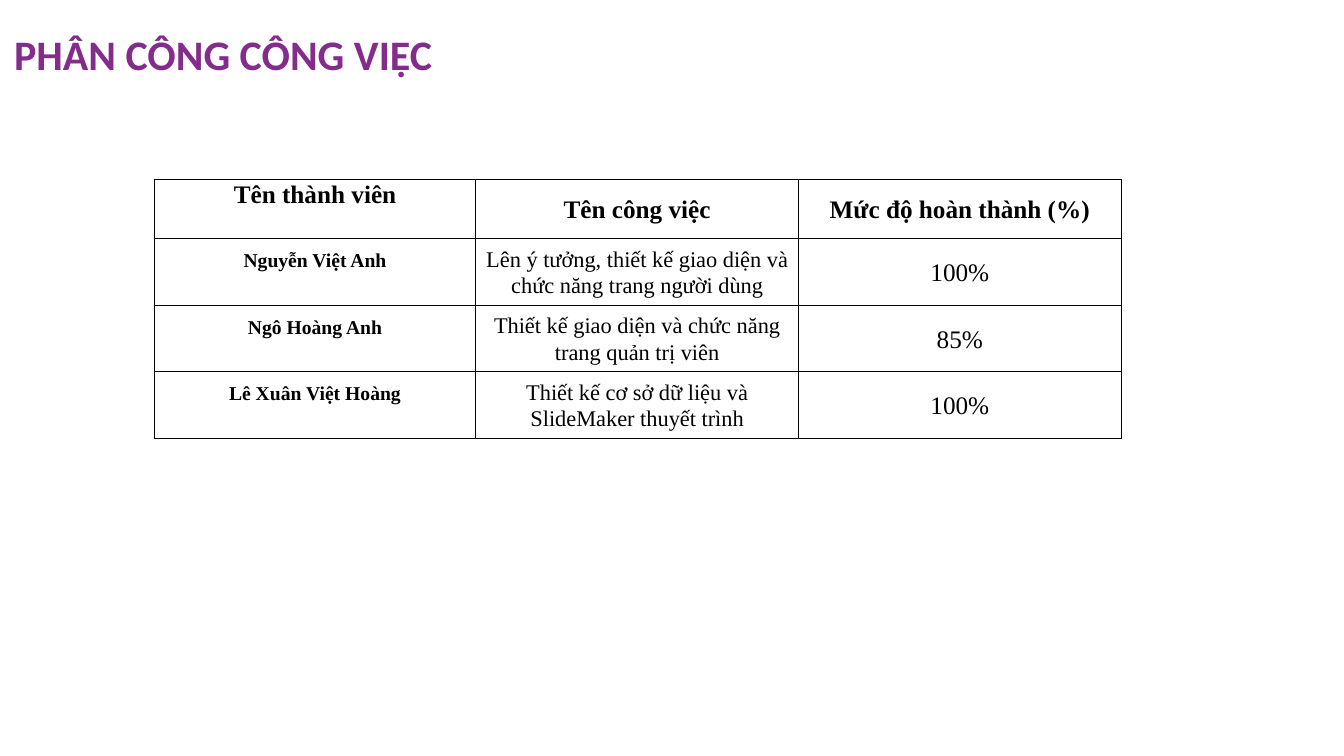
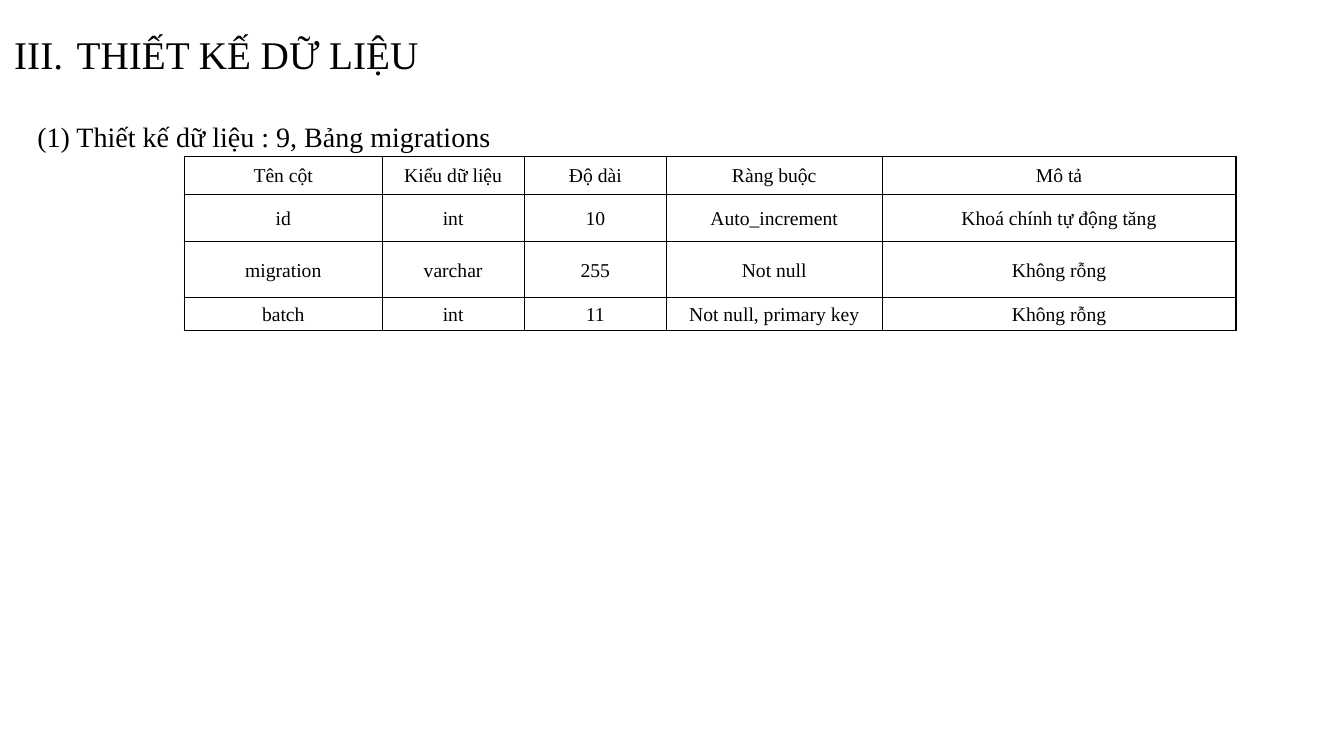
import pptx
import pptx.util
import pptx.dml.color
import pptx.enum.text
import pptx.oxml
import pptx.oxml.ns
from lxml import etree

Inches = pptx.util.Inches
Pt = pptx.util.Pt
RGB = pptx.dml.color.RGBColor
ALIGN = pptx.enum.text.PP_ALIGN
ANCHOR = pptx.enum.text.MSO_ANCHOR
qn = pptx.oxml.ns.qn

BLACK = RGB(0, 0, 0)
WHITE = RGB(0xFF, 0xFF, 0xFF)
PURPLE = RGB(0x83, 0x2C, 0x8B)
SERIF = "Times New Roman"
SANS = "Calibri"

TITLE = (0.04, 0, 11.5, 1.12)
BODY = (0.08, 0.92, 13.07, 5.94)

TEAM = [
    ["Tên thành viên", "Tên công việc", "Mức độ hoàn thành (%)"],
    ["Nguyễn Việt Anh",
     "Lên ý tưởng, thiết kế giao diện và chức năng trang người dùng", "100%"],
    ["Ngô Hoàng Anh",
     "Thiết kế giao diện và chức năng trang quản trị viên", "85%"],
    ["Lê Xuân Việt Hoàng",
     "Thiết kế cơ sở dữ liệu và SlideMaker thuyết trình", "100%"],
]
FIELDS = [
    ["Tên cột", "Kiểu dữ liệu", "Độ dài", "Ràng buộc", "Mô tả"],
    ["id", "int", "10", "Auto_increment", "Khoá chính tự động tăng"],
    ["migration", "varchar", "255", "Not null", "Không rỗng"],
    ["batch", "int", "11", "Not null, primary key", "Không rỗng"],
]


def style(para, size, face=SERIF, color=BLACK, bold=False,
          align=ALIGN.LEFT, lead=1.07):
    """Set the font, alignment and line spacing of a paragraph."""
    para.alignment = align
    para.line_spacing = lead
    para.space_before = Pt(0)
    font = para.font
    font.size = Pt(size)
    font.name = face
    font.bold = bold
    font.color.rgb = color


def indent(para, left, first, mark, **attrs):
    """Set the indents of a paragraph and its bullet element."""
    props = para._p.get_or_add_pPr()
    props.set("marL", str(Inches(left)))
    props.set("indent", str(Inches(first)))
    etree.SubElement(props, qn(mark), attrs)


def fill_holder(holder, box, text, anchor):
    """Move a placeholder to its box and return its one paragraph."""
    holder.left, holder.top, holder.width, holder.height = map(Inches, box)
    frame = holder.text_frame
    frame.text = text
    frame.word_wrap = True
    frame.auto_size = pptx.enum.text.MSO_AUTO_SIZE.NONE
    frame.vertical_anchor = anchor
    frame.margin_left = frame.margin_right = Inches(0.1)
    frame.margin_top = frame.margin_bottom = Inches(0.1)
    return frame.paragraphs[0]


def add_title(slide, text):
    """Place the slide title and return its paragraph."""
    return fill_holder(slide.shapes.title, TITLE, text, ANCHOR.MIDDLE)


def add_edges(cell):
    """Draw a thin black line on each side of a cell."""
    props = cell._tc.get_or_add_tcPr()
    for side in ("a:lnL", "a:lnR", "a:lnT", "a:lnB"):
        line = etree.SubElement(props, qn(side), w=str(Pt(1)))
        solid = etree.SubElement(line, qn("a:solidFill"))
        etree.SubElement(solid, qn("a:srgbClr"), val=str(BLACK))


def add_grid(slide, left, top, widths, heights, rows, look):
    """Add a ruled table; look gives size, bold and top gap of a cell."""
    box = (left, top, sum(widths), sum(heights))
    table = slide.shapes.add_table(
        len(rows), len(widths), *map(Inches, box)).table
    table.first_row = table.horz_banding = False
    for col, width in zip(table.columns, widths):
        col.width = Inches(width)
    for row, height in zip(table.rows, heights):
        row.height = Inches(height)
    for r, texts in enumerate(rows):
        for c, text in enumerate(texts):
            size, bold, gap = look(r, c)
            cell = table.cell(r, c)
            cell.text = text
            cell.margin_left = cell.margin_right = Inches(0.07)
            cell.margin_top = Inches(gap or 0)
            cell.margin_bottom = 0
            cell.vertical_anchor = ANCHOR.MIDDLE if gap is None else ANCHOR.TOP
            add_edges(cell)
            cell.fill.solid()
            cell.fill.fore_color.rgb = WHITE
            style(cell.text_frame.paragraphs[0], size, bold=bold,
                  align=ALIGN.CENTER)


def team_look(r, c):
    """Give the look of a cell in the team table."""
    if r == 0:
        return 18, True, 0 if c == 0 else None
    return [(14, True, 0.1), (16, False, None), (18, False, None)][c]


def field_look(r, c):
    """Give the look of a cell in the field table."""
    return 14, False, None


def team_slide(deck):
    """Build the slide that lists who did what."""
    slide = deck.slides.add_slide(deck.slide_layouts[5])
    style(add_title(slide, "PHÂN CÔNG CÔNG VIỆC"), 30, SANS, PURPLE,
          bold=True, lead=0.9)
    add_grid(slide, 1.53, 1.78, [3.19, 3.2, 3.2], [0.59] + [0.66] * 3,
             TEAM, team_look)


def data_slide(deck):
    """Build the slide that describes the data table."""
    slide = deck.slides.add_slide(deck.slide_layouts[1])
    head = add_title(slide, "THIẾT KẾ DỮ LIỆU")
    indent(head, 0.62, -0.62, "a:buAutoNum", type="romanUcPeriod", startAt="3")
    style(head, 28, lead=0.9)
    note = fill_holder(slide.placeholders[1], BODY,
                       "(1) Thiết kế dữ liệu : 9, Bảng migrations", ANCHOR.TOP)
    indent(note, 0.19, 0, "a:buNone")
    style(note, 20, lead=1.5)
    add_grid(slide, 1.83, 1.55, [1.96, 1.41, 1.41, 2.14, 3.51],
             [0.38, 0.47, 0.55, 0.33], FIELDS, field_look)


def main():
    """Build and save the deck."""
    deck = pptx.Presentation()
    deck.slide_width = Inches(13.33)
    deck.slide_height = Inches(7.5)
    team_slide(deck)
    data_slide(deck)
    deck.save("out.pptx")


if __name__ == "__main__":
    main()
